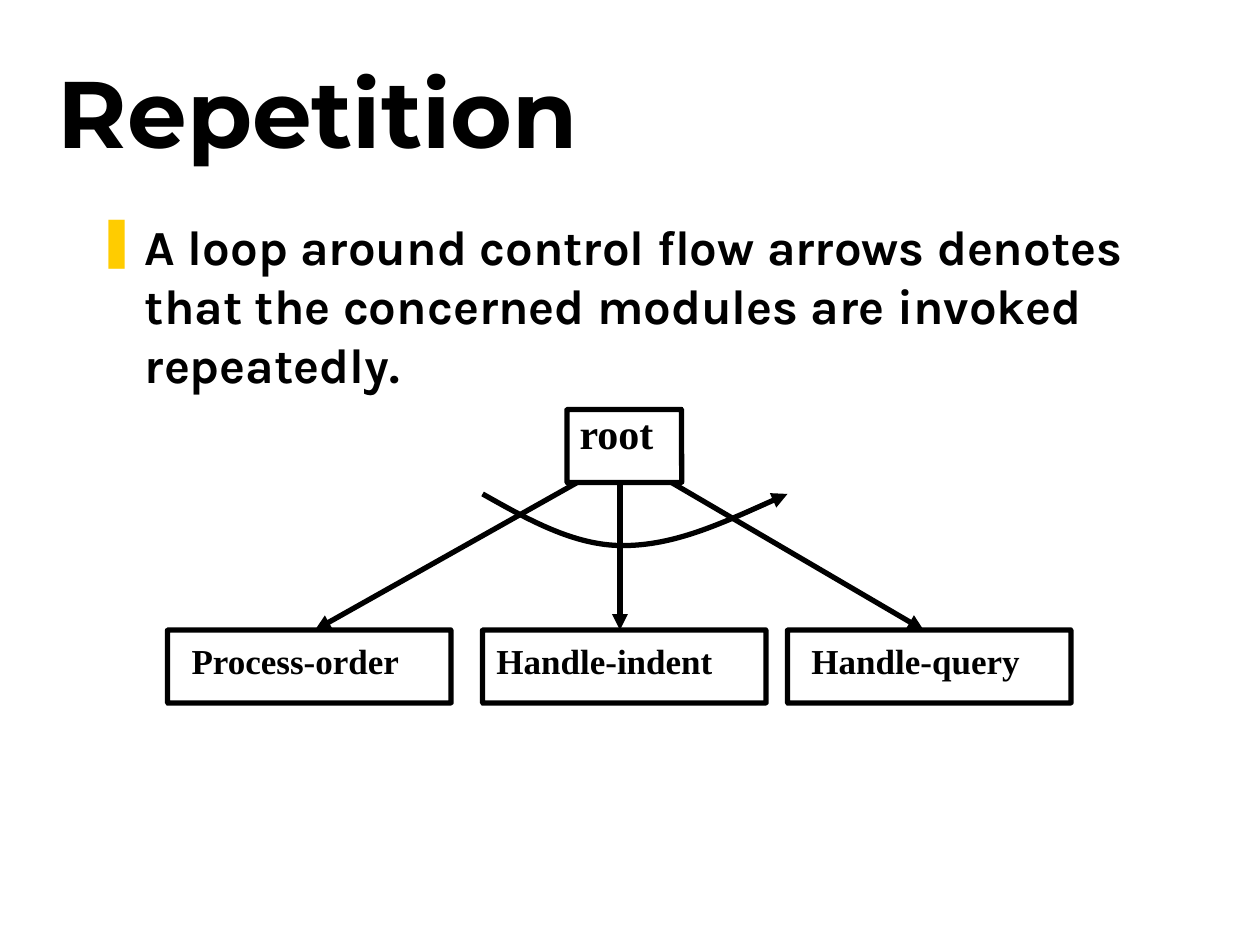
from dataclasses import dataclass
from lxml import etree
from pptx import Presentation
from pptx.dml.color import RGBColor
from pptx.enum import shapes, text
from pptx.oxml import ns
from pptx.util import Inches, Pt


@dataclass(frozen=True)
class Theme:
    ink: RGBColor = RGBColor(0, 0, 0)
    mark: str = "FFCC00"
    head: tuple = ("Montserrat", 54)
    body: tuple = ("Karla", 28)
    root: tuple = ("Times New Roman", 24)
    leaf: tuple = ("Times New Roman", 20)
    line: int = 3


theme = Theme()


def sub(parent, tag, **attrs):
    return etree.SubElement(parent, ns.qn(tag), attrs)


def write(slide, box, words, font, before, spacing=None):
    """Add a bold left-aligned text box and return it."""
    shape = slide.shapes.add_textbox(*map(Inches, box))
    frame = shape.text_frame
    frame.word_wrap = True
    frame.margin_left = frame.margin_right = Inches(0.02)
    frame.text = words
    para = frame.paragraphs[0]
    para.space_before = Pt(before)
    if spacing:
        para.line_spacing = spacing
    face = para.runs[0].font
    face.name, face.size = font[0], Pt(font[1])
    face.bold = True
    face.color.rgb = theme.ink
    return shape


def ink(shape, arrow=False):
    """Draw the outline, with an arrowhead at its end if wanted."""
    shape.line.color.rgb = theme.ink
    shape.line.width = Pt(theme.line)
    if arrow:
        sub(shape.line._get_or_add_ln(), "a:tailEnd", type="triangle", w="med", len="med")


def title(slide, box):
    shape = write(slide, box, "Repetition", theme.head, 12.4)
    shape.text_frame.vertical_anchor = text.MSO_ANCHOR.MIDDLE


def point(slide, box):
    words = ("A loop around control flow arrows denotes that the "
             "concerned modules are invoked repeatedly.")
    para = write(slide, box, words, theme.body, 6.4).text_frame.paragraphs[0]
    props = para._p.get_or_add_pPr()
    props.set("marL", str(Inches(0.38)))
    props.set("indent", str(-Inches(0.38)))
    sub(sub(props, "a:buClr"), "a:srgbClr", val=theme.mark)
    sub(props, "a:buChar", char="\u275a")


def module(slide, box):
    shape = slide.shapes.add_shape(shapes.MSO_SHAPE.ROUNDED_RECTANGLE, *map(Inches, box))
    shape.adjustments[0] = 0.003
    shape.shadow.inherit = False
    shape.fill.background()
    ink(shape)


def arrow(slide, start, end):
    link = slide.shapes.add_connector(
        shapes.MSO_CONNECTOR.STRAIGHT, *map(Inches, start + end))
    ink(link, arrow=True)
    sub(link._element.spPr, "a:effectLst")


def loop(slide, box):
    """Curved arrow that sags from the top left to the top right of the box."""
    left, top, wide, high = map(Inches, box)
    curves = [[(0.15, 0.5), (0.3, 1), (0.46, 1)],
              [(0.63, 1), (0.81, 0.5), (1, 0)]]
    build = slide.shapes.build_freeform(left, top)
    build.add_line_segments(
        [(left + int(x * wide), top + int(y * high)) for *_, (x, y) in curves], close=False)
    shape = build.convert_to_shape()
    # Turn each straight segment into a cubic curve
    for seg, pts in zip(list(shape._element.iter(ns.qn("a:lnTo"))), curves):
        bend = etree.Element(ns.qn("a:cubicBezTo"))
        for x, y in pts:
            sub(bend, "a:pt", x=str(int(x * wide)), y=str(int(y * high)))
        seg.getparent().replace(seg, bend)
    shape.shadow.inherit = False
    shape.fill.background()
    ink(shape, arrow=True)


def chart(slide, box):
    """Structure chart: root module, three called modules, loop arrow."""
    left, top, wide, high = box
    tall, leaf = 0.58, 2.25
    base, floor = top + tall, top + high - tall

    # Root
    module(slide, (left + 3.17, top, 0.91, tall))
    write(slide, (left + 3.25, top, 1.25, 0.5), "root", theme.root, 13.8, 0.85)

    # Called modules: name, left edge, text inset, arrow start and end
    calls = [("Process-order", 0, 0.17, 3.25, 1.17),
             ("Handle-indent", 2.5, 0.09, 3.59, 3.59),
             ("Handle-query", wide - leaf, 0.17, 4, 6)]
    for name, x, inset, start, end in calls:
        module(slide, (left + x, floor, leaf, tall))
        write(slide, (left + x + inset, floor + 0.08, leaf - inset, 0.43),
              name, theme.leaf, 11.5, 0.85)
        arrow(slide, (left + start, base), (left + end, floor))

    # Repetition
    loop(slide, (left + 2.5, base + 0.09, 2.42, 0.41))


deck = Presentation()
deck.slide_width, deck.slide_height = Inches(10), Inches(7.5)
page = deck.slides.add_slide(deck.slide_layouts[6])
title(page, (0.44, 0.25, 8.5, 1.25))
point(page, (0.75, 1.67, 8.5, 4.5))
chart(page, (1.33, 3.25, 7.17, 2.33))
deck.save("out.pptx")
